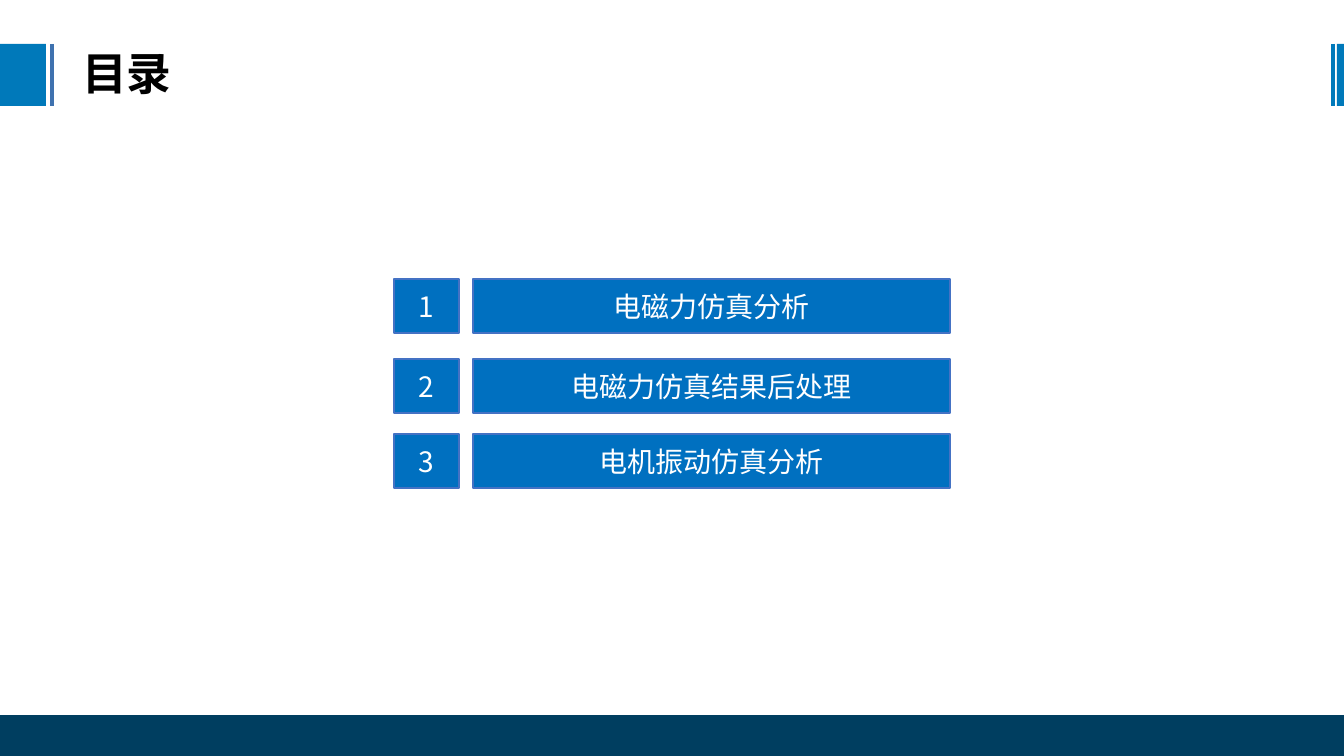
from pptx import Presentation, util as u
from pptx.dml.color import RGBColor
from pptx.enum import shapes, text
from pptx.oxml.ns import qn
from lxml import etree

PX = 914400 / 100.8
THEME = {
    "font": "Noto Sans CJK SC",
    "title_size": 32,
    "item_size": 20,
    "rule_width": 2.25,
    "black": RGBColor.from_string("000000"),
    "white": RGBColor.from_string("FFFFFF"),
    "footer": RGBColor.from_string("003E60"),
    "accent": RGBColor.from_string("0079BA"),
    "rule": RGBColor.from_string("3F72AF"),
    "item": RGBColor.from_string("0070C0"),
    "item_edge": RGBColor.from_string("4472C4"),
}


def px(*lengths):
    return [u.Emu(round(length * PX)) for length in lengths]


def add_run(paragraph, words, size, colour, bold=False):
    """Add a run whose Latin and East Asian fonts are the theme font."""
    run = paragraph.add_run()
    run.text = words
    run.font.size = u.Pt(size)
    run.font.bold = bold
    run.font.color.rgb = colour
    run.font.name = THEME["font"]
    east_asian = etree.Element(qn("a:ea"), typeface=THEME["font"])
    run.font._element.find(qn("a:latin")).addnext(east_asian)


prs = Presentation()
prs.slide_width, prs.slide_height = px(1344, 756)
slide = prs.slides.add_slide(prs.slide_layouts[5])

# Footer band and header bars
for box, colour in [
    ((0, 715, 1344, 41), "footer"),
    ((1337, 44, 7, 62), "accent"),
    ((0, 44, 46, 62), "accent"),
]:
    band = slide.shapes.add_shape(shapes.MSO_SHAPE.RECTANGLE, *px(*box))
    band.shadow.inherit = False
    band.fill.solid()
    band.fill.fore_color.rgb = THEME[colour]
    band.line.fill.background()

for x, colour in [(1333, "accent"), (52, "rule")]:
    rule = slide.shapes.add_connector(
        shapes.MSO_CONNECTOR.STRAIGHT, *px(x, 44, x, 106))
    rule.line.color.rgb = THEME[colour]
    rule.line.width = u.Pt(THEME["rule_width"])
    etree.SubElement(rule._element.spPr, qn("a:effectLst"))

# Title
title = slide.shapes.title
title.left, title.top, title.width, title.height = px(72, 46, 461, 60)
title.text_frame.auto_size = text.MSO_AUTO_SIZE.NONE
title.text_frame.vertical_anchor = text.MSO_ANCHOR.MIDDLE
heading = title.text_frame.paragraphs[0]
heading.alignment = text.PP_ALIGN.LEFT
heading.line_spacing = 0.9
add_run(heading, "目录", THEME["title_size"], THEME["black"], bold=True)

# Contents: a number and a topic on each row
topics = [
    (279, "电磁力仿真分析"),
    (359, "电磁力仿真结果后处理"),
    (434, "电机振动仿真分析"),
]
for number, (top, topic) in enumerate(topics, start=1):
    for left, width, words in [(394, 65, str(number)), (473, 477, topic)]:
        item = slide.shapes.add_shape(
            shapes.MSO_SHAPE.RECTANGLE, *px(left, top, width, 54))
        item.shadow.inherit = False
        item.fill.solid()
        item.fill.fore_color.rgb = THEME["item"]
        item.line.color.rgb = THEME["item_edge"]
        item.line.width = u.Pt(1)
        item.text_frame.vertical_anchor = text.MSO_ANCHOR.MIDDLE
        label = item.text_frame.paragraphs[0]
        label.alignment = text.PP_ALIGN.CENTER
        add_run(label, words, THEME["item_size"], THEME["white"])

prs.save("out.pptx")
